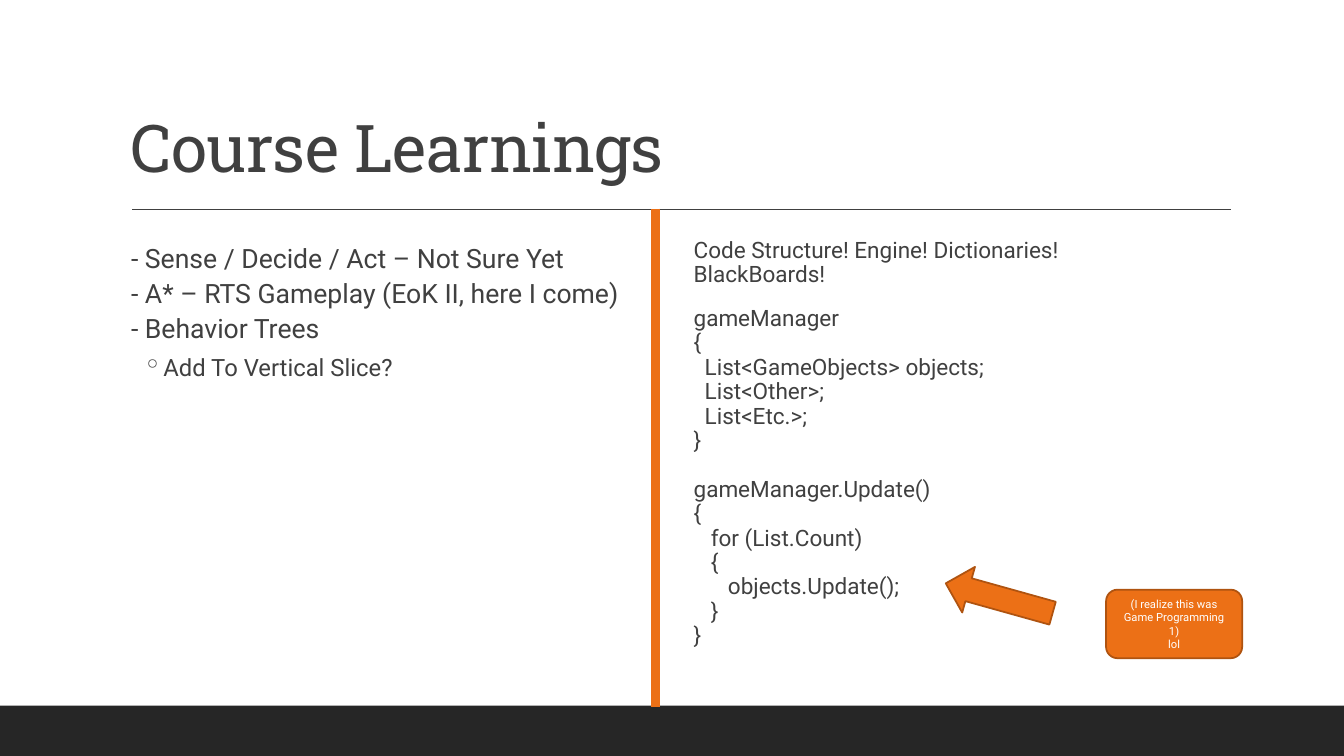
import dataclasses
import typing

import lxml.etree
import pptx
import pptx.dml.color
import pptx.enum.shapes
import pptx.enum.text
import pptx.oxml.ns
import pptx.util

Kind = pptx.enum.shapes.MSO_SHAPE
Align = pptx.enum.text.PP_ALIGN
Anchor = pptx.enum.text.MSO_ANCHOR
PX = 9144  # EMU, 100 px to the inch


@dataclasses.dataclass(frozen=True)
class Theme:
    ink: str = "404040"
    dark: str = "262626"
    accent: str = "EC7016"
    edge: str = "AF5310"
    white: str = "FFFFFF"
    head: str = "Roboto Slab"
    body: str = "Roboto"
    title: float = 47
    point: float = 19
    sub: float = 17
    code: float = 16.1
    note: float = 8


THEME = Theme()


class Box(typing.NamedTuple):
    left: int
    top: int
    width: int
    height: int


@dataclasses.dataclass(frozen=True)
class Line:
    text: str
    size: float
    left: int = 10
    before: float = 0
    after: float = 0
    pitch: float = 1.0
    bullet: str = ""
    font: str = THEME.body
    color: str = THEME.ink
    align: Align = Align.LEFT


@dataclasses.dataclass(frozen=True)
class Part:
    kind: Kind
    box: Box
    fill: str
    edge: str = ""
    turn: float = 0


@dataclasses.dataclass(frozen=True)
class Rule:
    start: tuple[int, int]
    end: tuple[int, int]
    color: str
    width: float


def code(text: str, left: int = 10, before: float = 0) -> Line:
    return Line(text, THEME.code, left, before, pitch=0.9)


def point(text: str) -> Line:
    return Line(text, THEME.point, pitch=1.1)


def note(text: str) -> Line:
    return Line(text, THEME.note, 0, color=THEME.white, align=Align.CENTER)


BAR = Part(Kind.RECTANGLE, Box(0, 700, 1333, 50), THEME.dark)
ARROW = Part(Kind.RIGHT_ARROW, Box(936, 570, 110, 47), THEME.accent, THEME.edge, 195.6)
BADGE = Part(Kind.ROUNDED_RECTANGLE, Box(1097, 585, 135, 68), THEME.accent, THEME.edge)

RULES = [
    Rule((131, 208), (1221, 208), THEME.ink, 1),
    Rule((650, 207), (650, 701), THEME.accent, 6),
]

TITLE = [Line("Course Learnings", THEME.title, 0, pitch=0.9, font=THEME.head)]

POINTS = [
    point("- Sense / Decide / Act – Not Sure Yet"),
    point("- A* – RTS Gameplay (EoK II, here I come)"),
    point("- Behavior Trees"),
    Line("Add To Vertical Slice?", THEME.sub, 42, 4, 4, 1.1, "◦"),
]

CODE = [
    code("Code Structure! Engine! Dictionaries! BlackBoards!"),
    code("gameManager", before=14),
    code("{"),
    code("List<GameObjects> objects;", 21),
    code("List<Other>;", 21),
    code("List<Etc.>;", 21),
    code("}"),
    code("gameManager.Update()", before=17.5),
    code("{"),
    code("for (List.Count)", 27),
    code("{", 27),
    code("objects.Update();", 44),
    code("}", 27),
    code("}"),
]

NOTE = [note("(I realize this was Game Programming 1)"), note("lol")]


def rgb(color: str) -> pptx.dml.color.RGBColor:
    return pptx.dml.color.RGBColor.from_string(color)


def emu(box: Box) -> list[int]:
    return [side * PX for side in box]


def indent(para: typing.Any, line: Line) -> None:
    """Set the left margin and, if there is one, the hanging bullet."""
    props = para._p.get_or_add_pPr()
    props.set("marL", str(line.left * PX))
    props.set("indent", str(-20 * PX if line.bullet else 0))
    if line.bullet:
        mark = lxml.etree.SubElement(props, pptx.oxml.ns.qn("a:buChar"))
        mark.set("char", line.bullet)


def write(frame: typing.Any, lines: list[Line], anchor: Anchor) -> None:
    frame.word_wrap = True
    frame.vertical_anchor = anchor
    for index, line in enumerate(lines):
        para = frame.add_paragraph() if index else frame.paragraphs[0]
        para.add_run().text = line.text
        para.alignment = line.align
        para.line_spacing = line.pitch
        para.space_before = pptx.util.Pt(line.before)
        para.space_after = pptx.util.Pt(line.after)
        para.font.name = line.font
        para.font.size = pptx.util.Pt(line.size)
        para.font.color.rgb = rgb(line.color)
        indent(para, line)


def add_text(slide: typing.Any, box: Box, lines: list[Line],
             anchor: Anchor = Anchor.TOP, inset: int = 0) -> typing.Any:
    frame = slide.shapes.add_textbox(*emu(box)).text_frame
    frame.margin_left = frame.margin_right = inset * PX
    write(frame, lines, anchor)
    return frame


def add_part(slide: typing.Any, part: Part) -> typing.Any:
    shape = slide.shapes.add_shape(part.kind, *emu(part.box))
    shape.shadow.inherit = False
    shape.rotation = part.turn
    shape.fill.solid()
    shape.fill.fore_color.rgb = rgb(part.fill)
    if part.edge:
        shape.line.color.rgb = rgb(part.edge)
        shape.line.width = pptx.util.Pt(1.25)
    else:
        shape.line.fill.background()
    return shape


def add_rule(slide: typing.Any, rule: Rule) -> None:
    ends = [side * PX for side in rule.start + rule.end]
    line = slide.shapes.add_connector(pptx.enum.shapes.MSO_CONNECTOR.STRAIGHT, *ends)
    line.line.color.rgb = rgb(rule.color)
    line.line.width = pptx.util.Pt(rule.width)
    lxml.etree.SubElement(line._element.spPr, pptx.oxml.ns.qn("a:effectLst"))


def main() -> None:
    deck = pptx.Presentation()
    deck.slide_width, deck.slide_height = 1333 * PX, 750 * PX
    slide = deck.slides.add_slide(deck.slide_layouts[6])
    add_part(slide, BAR)
    for rule in RULES:
        add_rule(slide, rule)
    title = add_text(slide, Box(120, 31, 1100, 159), TITLE, Anchor.BOTTOM, 10)
    title.paragraphs[0].runs[0]._r.get_or_add_rPr().set("spc", "-50")
    add_text(slide, Box(120, 232, 507, 410), POINTS)
    add_text(slide, Box(678, 232, 507, 410), CODE)
    add_part(slide, ARROW)
    write(add_part(slide, BADGE).text_frame, NOTE, Anchor.MIDDLE)
    deck.save("out.pptx")


if __name__ == "__main__":
    main()
